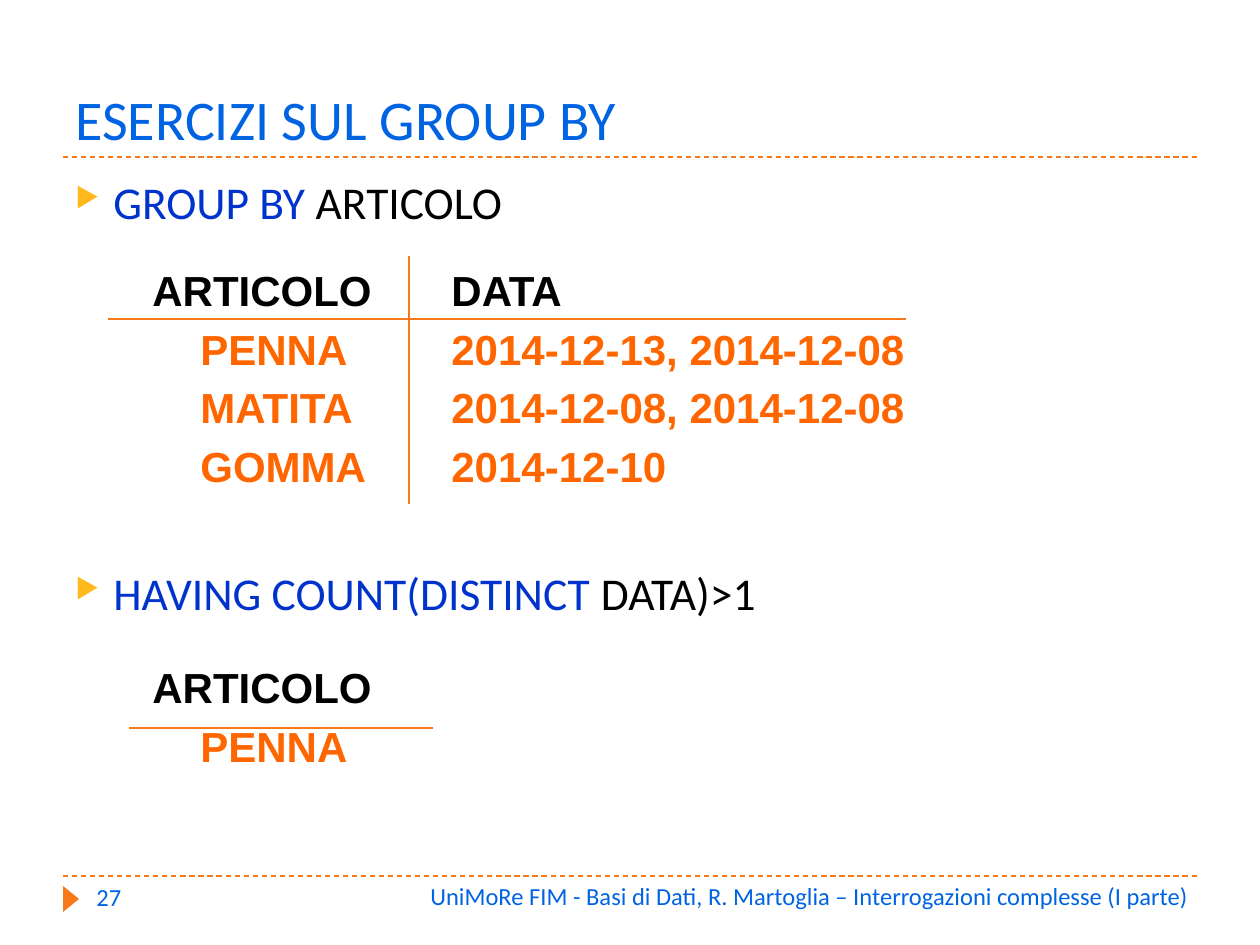
import pptx
import pptx.dml.color
import pptx.enum.dml
import pptx.enum.shapes
import pptx.enum.text
import pptx.util
from pptx.oxml import parse_xml
from pptx.oxml.ns import nsdecls

RGBColor = pptx.dml.color.RGBColor
BLUE = RGBColor(0x00, 0x64, 0xE2)
KEYWORD_BLUE = RGBColor(0x00, 0x33, 0xCC)
ORANGE = RGBColor(0xF9, 0x78, 0x17)
VALUE_ORANGE = RGBColor(0xFF, 0x66, 0x00)
BULLET_YELLOW = RGBColor(0xFF, 0xB9, 0x1D)
BLACK = RGBColor(0x00, 0x00, 0x00)

TITLE = "ESERCIZI SUL GROUP BY"
PAGE_NUMBER = "27"
FOOTER = "UniMoRe FIM - Basi di Dati, R. Martoglia – Interrogazioni complesse (I parte)"
CLAUSES = [("GROUP BY ", "ARTICOLO"), ("HAVING COUNT(DISTINCT ", "DATA)>1")]
CLAUSE_GAP = 192  # points left between the clauses for the grouped rows

# Each result column: box in px, indent of its values in px, header, values
RESULT_COLUMNS = [
    ((140, 258, 260, 246), 48, "ARTICOLO", ["PENNA", "MATITA", "GOMMA"]),
    ((439, 258, 560, 246), 0, "DATA",
     ["2014-12-13, 2014-12-08", "2014-12-08, 2014-12-08", "2014-12-10"]),
    ((140, 655, 260, 130), 48, "ARTICOLO", ["PENNA"]),
]

RULES = [(63, 876, 1197, 876), (63, 157, 1197, 157)]
RESULT_LINES = [(108, 319, 906, 319), (409, 504, 409, 256), (129, 728, 433, 728)]


def px(length):
    return pptx.util.Emu(round(length * 914400 / 126))


def add_text(slide, box, paragraphs, size, font="Calibri", bold=False,
             align=pptx.enum.text.PP_ALIGN.LEFT,
             anchor=pptx.enum.text.MSO_ANCHOR.TOP,
             space_before=0, prepare=None):
    """Each paragraph is a list of (text, colour); prepare(index, paragraph) adds XML."""
    frame = slide.shapes.add_textbox(*map(px, box)).text_frame
    frame.word_wrap = True
    frame.vertical_anchor = anchor
    for index, runs in enumerate(paragraphs):
        paragraph = frame.paragraphs[0] if index == 0 else frame.add_paragraph()
        paragraph.alignment = align
        if index:
            paragraph.space_before = pptx.util.Pt(space_before)
        if prepare:
            prepare(index, paragraph)
        for text, colour in runs:
            run = paragraph.add_run()
            run.text = text
            run.font.name = font
            run.font.size = pptx.util.Pt(size)
            run.font.bold = bold
            run.font.color.rgb = colour


def set_indent(paragraph, left, first=0):
    properties = paragraph._p.get_or_add_pPr()
    properties.set("marL", str(px(left)))
    properties.set("indent", str(px(first)))
    return properties


def add_bullet(index, paragraph):
    properties = set_indent(paragraph, 38, -38)
    for xml in (f'<a:buClr {nsdecls("a")}><a:srgbClr val="{BULLET_YELLOW}"/></a:buClr>',
                f'<a:buSzPct {nsdecls("a")} val="60000"/>',
                f'<a:buChar {nsdecls("a")} char="▶"/>'):
        properties.append(parse_xml(xml))


def add_result_column(slide, box, value_indent, header, values):
    def indent_values(index, paragraph):
        set_indent(paragraph, value_indent if index else 0)

    paragraphs = [[(header, BLACK)]] + [[(value, VALUE_ORANGE)] for value in values]
    add_text(slide, box, paragraphs, 24, font="Arial", bold=True,
             space_before=4.8, prepare=indent_values)


def add_line(slide, ends, width, dash=None):
    line = slide.shapes.add_connector(
        pptx.enum.shapes.MSO_CONNECTOR.STRAIGHT, *map(px, ends))
    line.line.color.rgb = ORANGE
    line.line.width = pptx.util.Pt(width)
    if dash:
        line.line.dash_style = dash
    line._element.spPr.append(parse_xml(f'<a:effectLst {nsdecls("a")}/>'))


def add_page_marker(slide):
    marker = slide.shapes.add_shape(
        pptx.enum.shapes.MSO_SHAPE.ISOSCELES_TRIANGLE, *map(px, (58, 891, 26, 16)))
    marker.rotation = 90
    marker.shadow.inherit = False
    marker.fill.solid()
    marker.fill.fore_color.rgb = ORANGE
    marker.line.fill.background()


def main():
    presentation = pptx.Presentation()
    presentation.slide_width = px(1260)
    presentation.slide_height = px(945)
    slide = presentation.slides.add_slide(presentation.slide_layouts[6])

    for ends in RULES:
        add_line(slide, ends, 0.75, pptx.enum.dml.MSO_LINE.DASH)
    add_page_marker(slide)
    add_text(slide, (63, 22, 1134, 136), [[(TITLE, BLUE)]], 32,
             anchor=pptx.enum.text.MSO_ANCHOR.BOTTOM)
    add_text(slide, (84, 876, 273, 50), [[(PAGE_NUMBER, BLUE)]], 14)

    clauses = [[(keyword, KEYWORD_BLUE), (rest, BLACK)] for keyword, rest in CLAUSES]
    add_text(slide, (63, 168, 1134, 680), clauses, 26,
             space_before=CLAUSE_GAP, prepare=add_bullet)

    for column in RESULT_COLUMNS:
        add_result_column(slide, *column)
    for ends in RESULT_LINES:
        add_line(slide, ends, 1)

    add_text(slide, (372, 875, 829, 50), [[(FOOTER, BLUE)]], 14,
             align=pptx.enum.text.PP_ALIGN.RIGHT)
    presentation.save("out.pptx")


if __name__ == "__main__":
    main()
